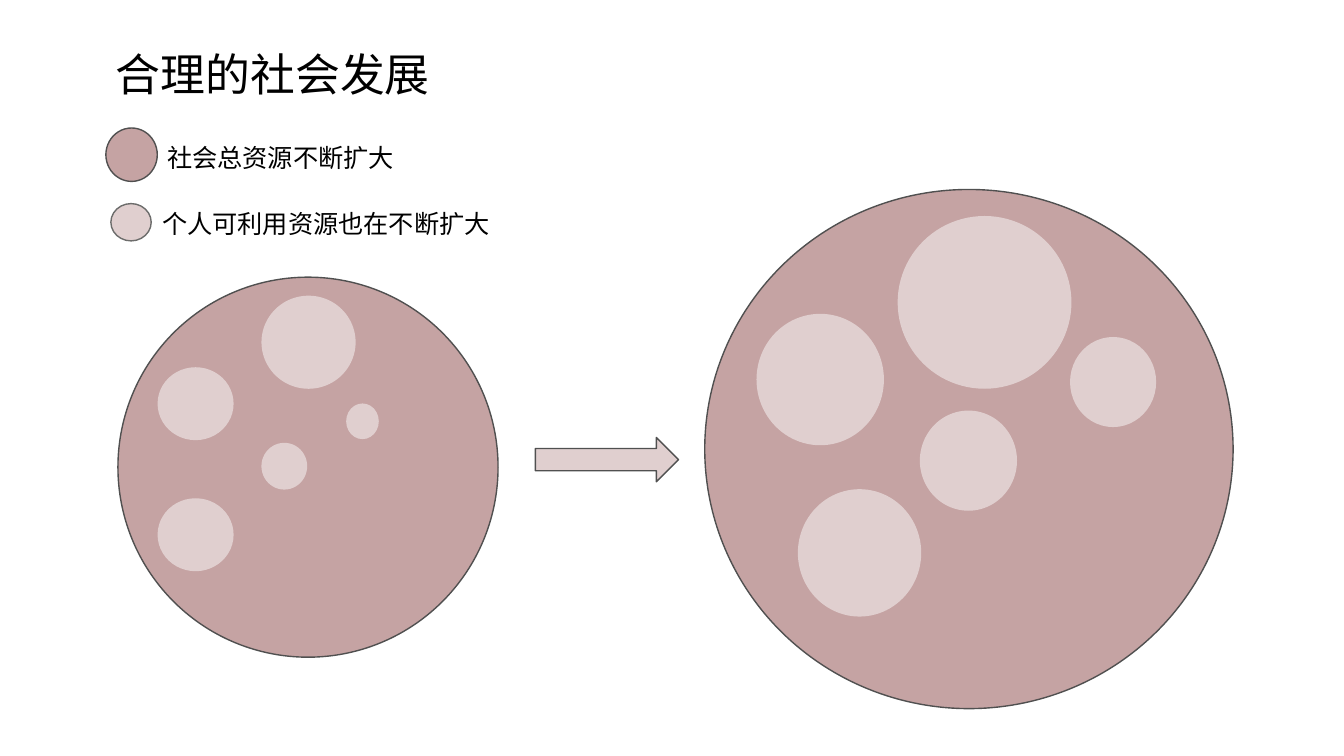
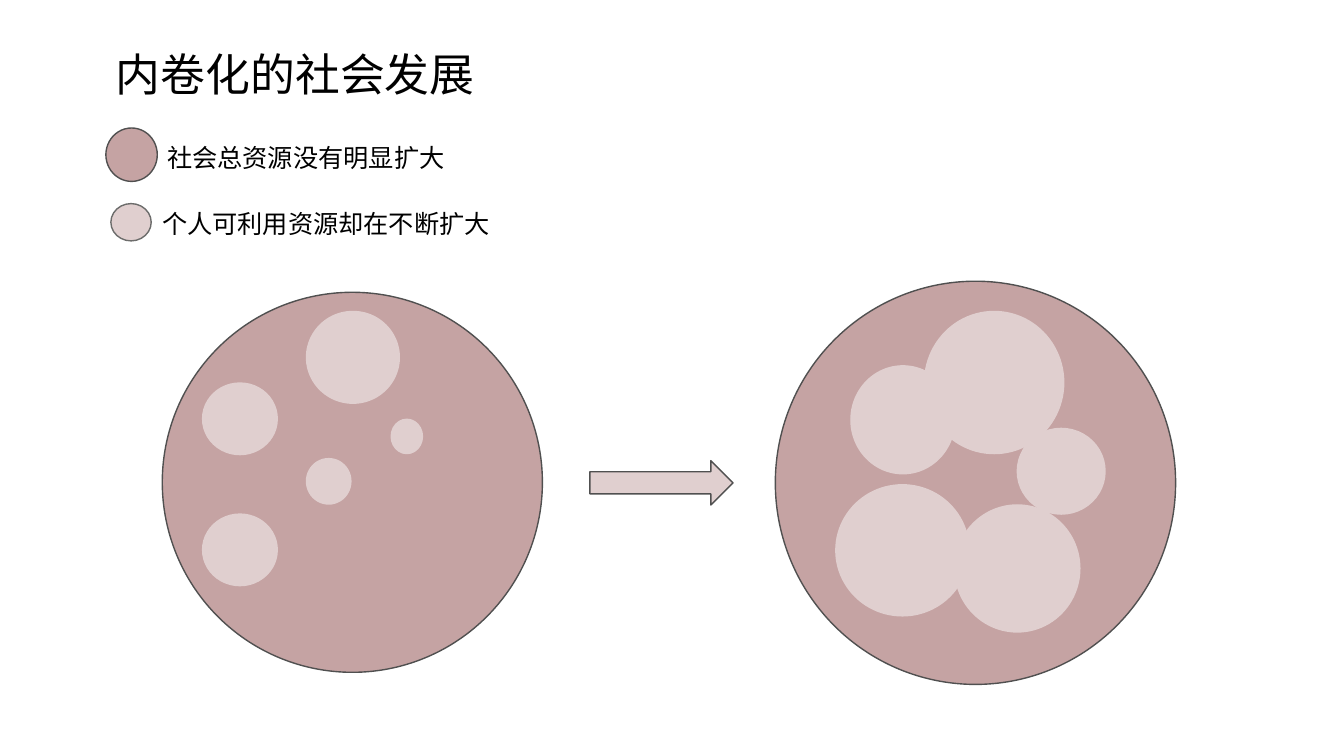
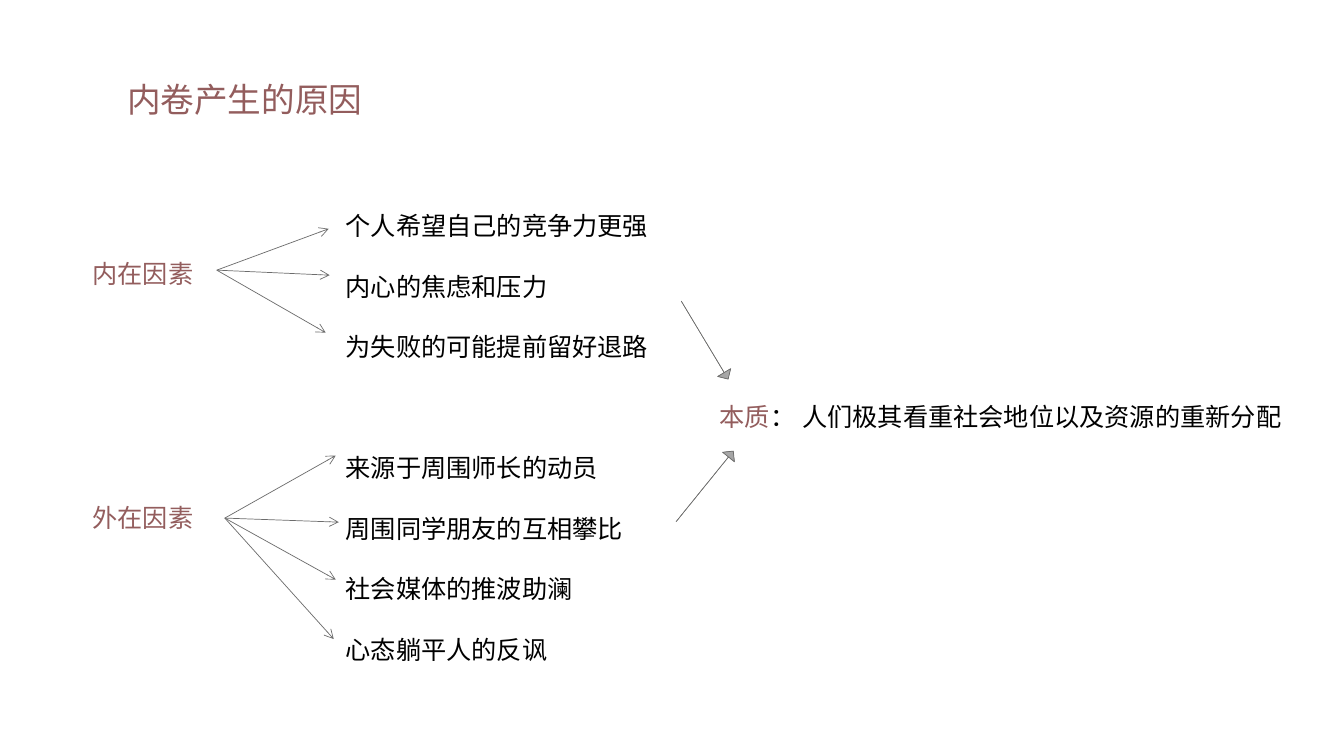
from lxml import etree
from pptx import Presentation
from pptx.dml.color import RGBColor
from pptx.enum.shapes import MSO_CONNECTOR, MSO_SHAPE
from pptx.enum.text import MSO_ANCHOR, MSO_AUTO_SIZE, PP_ALIGN
from pptx.oxml.ns import qn
from pptx.util import Inches, Pt

OVAL = MSO_SHAPE.OVAL
RIGHT_ARROW = MSO_SHAPE.RIGHT_ARROW
STRAIGHT = MSO_CONNECTOR.STRAIGHT
LEFT = PP_ALIGN.LEFT
TOP = MSO_ANCHOR.TOP
NO_FIT = MSO_AUTO_SIZE.NONE

FONT = "Arial"
BLACK = "000000"
ACCENT = "935D5D"
TOTAL = "C5A3A3"
SHARE = "E0CFCF"
OUTLINE = "505050"
GREY = "6C6C6B"
LINE_HEIGHT = 21.6

START_SHARES = [
    (0.4, 0.9, 0.74, 0.71),
    (1.43, 0.19, 0.92, 0.91),
    (0.4, 2.2, 0.74, 0.71),
    (1.43, 1.65, 0.44, 0.45),
    (2.27, 1.26, 0.31, 0.34),
]
GROWN_SHARES = [
    (0.52, 1.24, 1.25, 1.29),
    (1.92, 0.27, 1.71, 1.7),
    (0.93, 2.98, 1.21, 1.25),
    (2.14, 2.2, 0.95, 0.98),
    (3.63, 1.47, 0.84, 0.88),
]
CROWDED_SHARES = [
    (0.75, 0.84, 1.03, 1.07),
    (1.48, 0.3, 1.38, 1.41),
    (0.6, 2.02, 1.32, 1.3),
    (1.78, 2.22, 1.24, 1.26),
    (2.4, 1.46, 0.87, 0.85),
]


def rgb(value):
    return RGBColor.from_string(value)


def inches(box):
    return [Inches(length) for length in box]


def write_text(holder, *lines, size=18, color=BLACK, exact=None, gap=0):
    frame = holder.text_frame
    frame.word_wrap = True
    frame.auto_size = NO_FIT
    frame.vertical_anchor = TOP
    for index, line in enumerate(lines):
        paragraph = frame.add_paragraph() if index else frame.paragraphs[0]
        paragraph.alignment = LEFT
        paragraph.space_before = Pt(gap if index else 0)
        if exact:
            paragraph.line_spacing = Pt(exact)
        runs = [(line, color)] if isinstance(line, str) else line
        for words, run_color in runs:
            run = paragraph.add_run()
            run.text = words
            run.font.size = Pt(size)
            run.font.name = FONT
            run.font.color.rgb = rgb(run_color)
            east_asian = etree.SubElement(run.font._element, qn("a:ea"))
            east_asian.set("typeface", FONT)


def add_text(slide, box, *lines, **style):
    write_text(slide.shapes.add_textbox(*inches(box)), *lines, **style)


def add_titled_slide(deck, title, box, **style):
    slide = deck.slides.add_slide(deck.slide_layouts[5])
    heading = slide.shapes.title
    heading.left, heading.top, heading.width, heading.height = inches(box)
    write_text(heading, title, **style)
    return slide


def add_figure(slide, kind, box, fill, outline, weight=1):
    figure = slide.shapes.add_shape(kind, *inches(box))
    figure.shadow.inherit = False
    figure.fill.solid()
    figure.fill.fore_color.rgb = rgb(fill)
    figure.line.color.rgb = rgb(outline)
    figure.line.width = Pt(weight)
    return figure


def add_society(slide, box, shares):
    left, top = box[:2]
    add_figure(slide, OVAL, box, TOTAL, OUTLINE)
    for dx, dy, width, height in shares:
        add_figure(slide, OVAL, (left + dx, top + dy, width, height), SHARE, SHARE)


def add_legend(slide, left, top, total_label, share_label):
    add_figure(slide, OVAL, (left, top, 0.51, 0.53), TOTAL, OUTLINE)
    add_figure(slide, OVAL, (left + 0.05, top + 0.75, 0.4, 0.37), SHARE, GREY)
    add_text(slide, (left + 0.51, top + 0.09, 4, 0.4), total_label)
    add_text(slide, (left + 0.46, top + 0.75, 4.34, 0.4), share_label)


def add_development_slide(deck, title, labels, before, after, after_shares, arrow):
    slide = add_titled_slide(deck, title, (1.05, 0.41, 4.66, 0.64), size=32)
    add_society(slide, before, START_SHARES)
    add_society(slide, after, after_shares)
    add_legend(slide, 1.05, 1.27, *labels)
    add_figure(slide, RIGHT_ARROW, (*arrow, 1.42, 0.44), SHARE, OUTLINE)


def add_arrow(slide, start, end):
    arrow = slide.shapes.add_connector(STRAIGHT, *inches((*start, *end)))
    arrow.line.color.rgb = rgb("6C6C6C")
    arrow.line.width = Pt(0.5)
    tail = etree.SubElement(arrow.line._get_or_add_ln(), qn("a:tailEnd"))
    tail.set("type", "arrow")
    etree.SubElement(arrow._element.spPr, qn("a:effectLst"))


def add_factor(slide, left, top, name, name_offset, causes, fan, tips):
    add_text(slide, (left, top + name_offset, 1.54, 0.4), name, color=ACCENT)
    add_text(slide, (left + 2.51, top, 4, 0.6 * len(causes)), *causes,
             exact=LINE_HEIGHT, gap=LINE_HEIGHT)
    for dx, dy in tips:
        add_arrow(slide, (left + fan[0], top + fan[1]), (left + dx, top + dy))


def add_conclusion_arrow(slide, left, top, angle):
    arrow = add_figure(slide, RIGHT_ARROW, (left, top, 0.9, 0.15), "A8A8A8", GREY, 0.5)
    arrow.adjustments[0] = 0
    arrow.adjustments[1] = 0.5
    arrow.rotation = angle
    arrow.fill.gradient()
    arrow.fill.gradient_angle = 270
    for stop, color in zip(arrow.fill.gradient_stops, ("B3B3B3", "9A9A9A")):
        stop.color.rgb = rgb(color)


def add_causes_slide(deck):
    slide = add_titled_slide(deck, "内卷产生的原因", (1.16, 0.73, 2.65, 0.5),
                             size=24, color=ACCENT)
    add_factor(slide, 0.82, 2.04, "内在因素", 0.47,
               ["个人希望自己的竞争力更强", "内心的焦虑和压力", "为失败的可能提前留好退路"],
               (1.33, 0.64), [(2.44, 0.23), (2.45, 0.69), (2.41, 1.26)])
    add_factor(slide, 0.82, 4.44, "外在因素", 0.49,
               ["来源于周围师长的动员", "周围同学朋友的互相攀比", "社会媒体的推波助澜", "心态躺平人的反讽"],
               (1.41, 0.7), [(2.51, 0.08), (2.54, 0.74), (2.51, 1.31), (2.49, 1.9)])
    add_text(slide, (7.04, 3.93, 6.07, 0.4),
             [("本质", ACCENT), ("： 人们极其看重社会地位以及资源的重新分配", BLACK)])
    add_conclusion_arrow(slide, 6.54, 3.3, 59)
    add_conclusion_arrow(slide, 6.54, 4.75, 309)


def main():
    deck = Presentation()
    deck.slide_width, deck.slide_height = inches((13.33, 7.5))
    add_development_slide(
        deck, "合理的社会发展", ("社会总资源不断扩大", "个人可利用资源也在不断扩大"),
        (1.17, 2.75, 3.77, 3.77), (6.99, 1.88, 5.24, 5.15), GROWN_SHARES, (5.31, 4.34))
    add_development_slide(
        deck, "内卷化的社会发展", ("社会总资源没有明显扩大", "个人可利用资源却在不断扩大"),
        (1.61, 2.9, 3.77, 3.77), (7.69, 2.79, 3.97, 4), CROWDED_SHARES, (5.85, 4.57))
    add_causes_slide(deck)
    deck.save("out.pptx")


if __name__ == "__main__":
    main()
